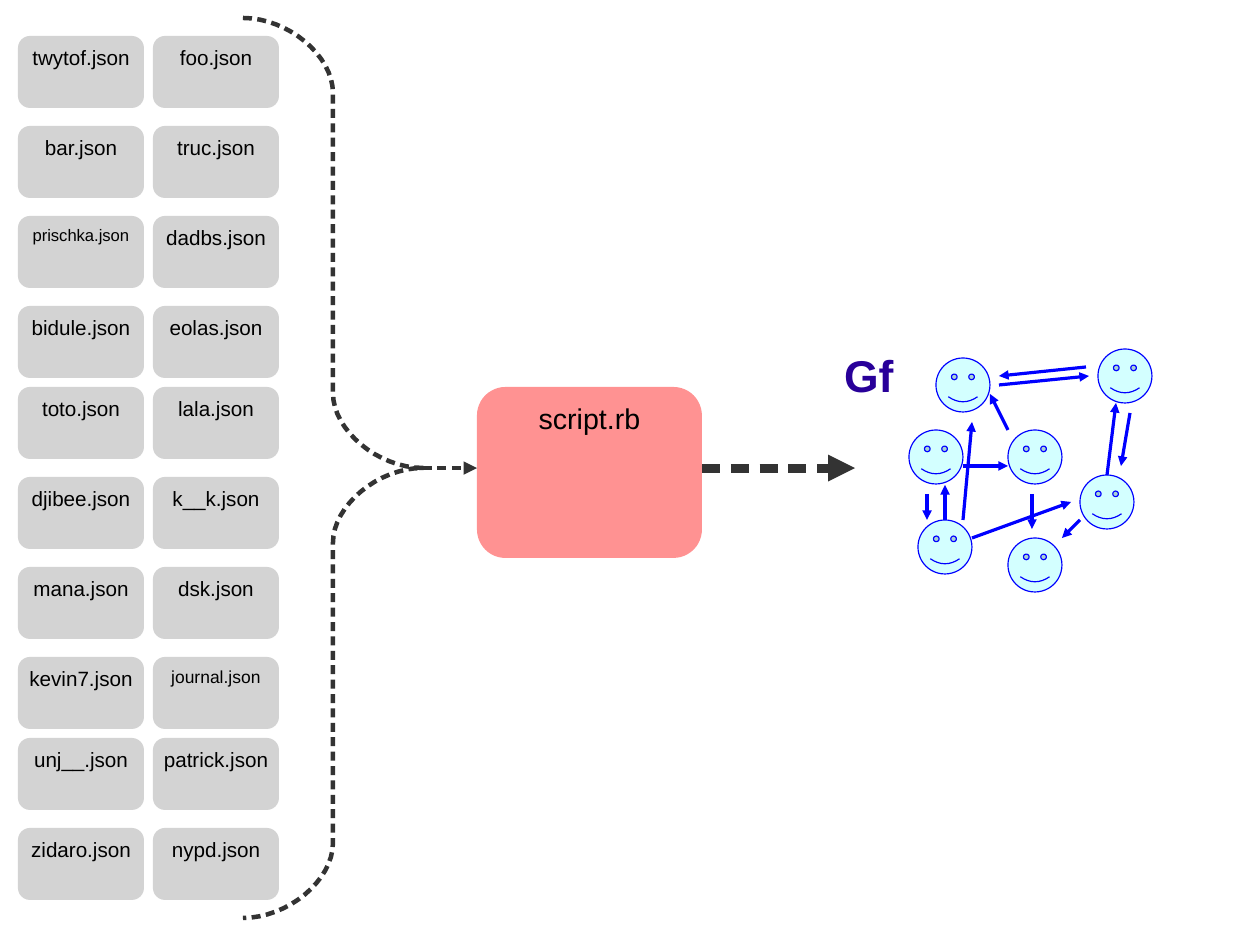
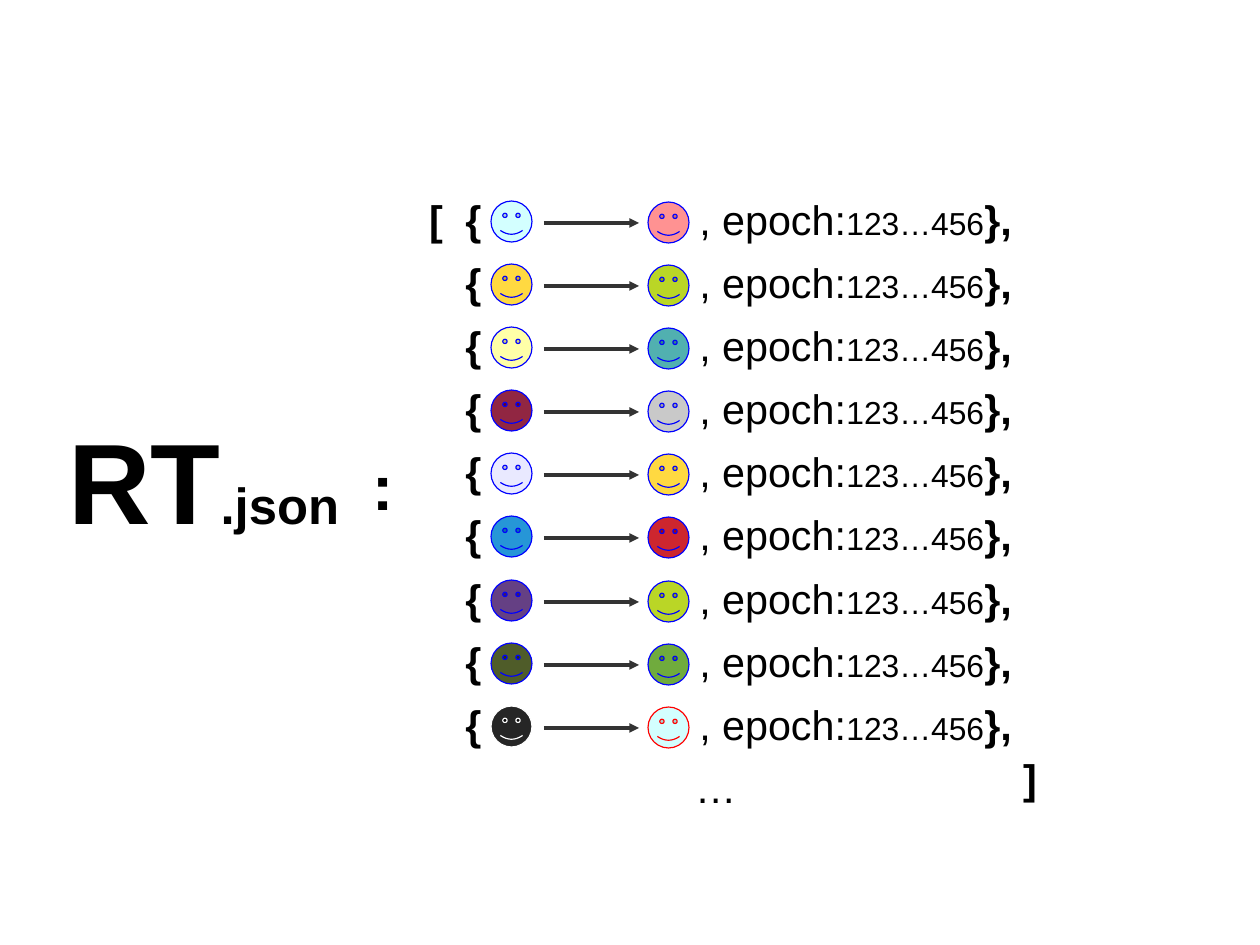
from pptx import Presentation
from pptx.dml.color import RGBColor
from pptx.enum.shapes import MSO_CONNECTOR, MSO_SHAPE
from pptx.enum.text import MSO_ANCHOR, PP_ALIGN
from pptx.oxml.ns import qn
from pptx.oxml.xmlchemy import OxmlElement
from pptx.util import Pt

STRAIGHT = MSO_CONNECTOR.STRAIGHT
ROUNDED = MSO_SHAPE.ROUNDED_RECTANGLE
SMILEY = MSO_SHAPE.SMILEY_FACE
TOP = MSO_ANCHOR.TOP
CENTER = PP_ALIGN.CENTER

PX = 8000  # EMU in one px
FONT = "Arial"
HAIRLINE, THIN, THICK = 0, 2.83, 5.67  # line widths in points

BLACK = RGBColor(0x00, 0x00, 0x00)
WHITE = RGBColor(0xFF, 0xFF, 0xFF)
DARK = RGBColor(0x33, 0x33, 0x33)
GREY = RGBColor(0xCC, 0xCC, 0xCC)
SILVER = RGBColor(0xC0, 0xC0, 0xC0)
BLUE = RGBColor(0x00, 0x00, 0xFF)
RED = RGBColor(0xFF, 0x00, 0x00)
INDIGO = RGBColor(0x28, 0x00, 0x99)
PINK = RGBColor(0xFF, 0x80, 0x80)
ICE = RGBColor(0xCC, 0xFF, 0xFF)
GOLD = RGBColor(0xFF, 0xD3, 0x20)
LIME = RGBColor(0xAE, 0xCF, 0x00)
CREAM = RGBColor(0xFF, 0xFF, 0x99)
TEAL = RGBColor(0x33, 0xA3, 0xA3)
MAROON = RGBColor(0x7E, 0x00, 0x21)
LAVENDER = RGBColor(0xE6, 0xE6, 0xFF)
SKY = RGBColor(0x00, 0x84, 0xD1)
CRIMSON = RGBColor(0xC5, 0x00, 0x0B)
PURPLE = RGBColor(0x4B, 0x1F, 0x6F)
OLIVE = RGBColor(0x31, 0x40, 0x04)
GREEN = RGBColor(0x57, 0x9D, 0x1C)

FILE_COLUMNS = [
    ["twytof", "bar", "prischka", "bidule", "toto",
     "djibee", "mana", "kevin7", "unj__", "zidaro"],
    ["foo", "truc", "dadbs", "eolas", "lala",
     "k__k", "dsk", "journal", "patrick", "nypd"],
]
SMALLER_FILES = {"prischka": 10.5, "journal": 11}

GRAPH_FACES = [(909, 430), (1008, 538), (1008, 430), (918, 520),
               (1080, 475), (936, 358), (1098, 349)]
GRAPH_ARROWS = [
    ((1032, 494), (1032, 529)), ((963, 466), (1008, 466)),
    ((1008, 430), (990, 394)), ((1107, 475), (1116, 403)),
    ((1080, 520), (1062, 538)), ((999, 385), (1089, 376)),
    ((945, 520), (945, 485)), ((927, 494), (927, 520)),
    ((963, 520), (972, 422)), ((972, 538), (1071, 502)),
    ((1130, 413), (1121, 466)), ((1086, 367), (999, 376)),
]

# Fill and outline of the two faces in each row
RETWEETS = [
    (ICE, BLUE, PINK, BLUE), (GOLD, BLUE, LIME, BLUE),
    (CREAM, BLUE, TEAL, BLUE), (MAROON, BLUE, SILVER, BLUE),
    (LAVENDER, BLUE, GOLD, BLUE), (SKY, BLUE, CRIMSON, BLUE),
    (PURPLE, BLUE, LIME, BLUE), (OLIVE, BLUE, GREEN, BLUE),
    (BLACK, WHITE, ICE, RED),
]


def emu(*lengths):
    return [round(length * PX) for length in lengths]


def add_child(parent, tag, **attributes):
    child = OxmlElement(tag)
    for name, value in attributes.items():
        child.set(name, str(value))
    parent.append(child)
    return child


def style_line(line, color, width, dashed=False, arrow=False):
    line.color.rgb = color
    line.width = Pt(width)
    properties = line._get_or_add_ln()
    if dashed:
        dash = add_child(properties, "a:custDash")
        add_child(dash, "a:ds", d=200000, sp=120000)
    if arrow:
        add_child(properties, "a:tailEnd", type="triangle")


def add_arrow(slide, start, end, color, width=HAIRLINE, dashed=False):
    connector = slide.shapes.add_connector(STRAIGHT, *emu(*start, *end))
    style_line(connector.line, color, width, dashed, arrow=True)
    add_child(connector._element.spPr, "a:effectLst")


def add_filled_shape(slide, kind, box, color):
    shape = slide.shapes.add_shape(kind, *emu(*box))
    shape.shadow.inherit = False
    shape.fill.solid()
    shape.fill.fore_color.rgb = color
    solid = shape._element.spPr.find(qn("a:solidFill"))
    add_child(solid[0], "a:alpha", val=85000)
    shape.line.fill.background()
    return shape


def add_face(slide, left, top, size, color, outline):
    face = add_filled_shape(slide, SMILEY, (left, top, size, size), color)
    style_line(face.line, outline, HAIRLINE)


def add_file(slide, box, name, size, color):
    shape = add_filled_shape(slide, ROUNDED, box, color)
    frame = shape.text_frame
    frame.word_wrap = False
    frame.vertical_anchor = TOP
    paragraph = frame.paragraphs[0]
    paragraph.text = name
    paragraph.alignment = CENTER
    paragraph.font.name = FONT
    paragraph.font.size = Pt(size)
    paragraph.font.color.rgb = BLACK


def add_text(slide, box, runs, color=BLACK, tab=None):
    """Each run is a (text, size, bold) tuple."""
    frame = slide.shapes.add_textbox(*emu(*box)).text_frame
    frame.word_wrap = True
    paragraph = frame.paragraphs[0]
    if tab is not None:
        stops = add_child(paragraph._p.get_or_add_pPr(), "a:tabLst")
        add_child(stops, "a:tab", pos=tab * PX, algn="l")
    paragraph.font.name = FONT
    paragraph.font.color.rgb = color
    for text, size, bold in runs:
        run = paragraph.add_run()
        run.text = text
        font = paragraph.font if len(runs) == 1 else run.font
        font.size = Pt(size)
        font.bold = bold


def curve(a, b, c, d, steps=16):
    """Points on a cubic curve from a to d."""
    points = []
    for step in range(steps + 1):
        t = step / steps
        weights = ((1 - t) ** 3, 3 * t * (1 - t) ** 2, 3 * t * t * (1 - t), t ** 3)
        points.append(tuple(sum(w * p[axis] for w, p in zip(weights, (a, b, c, d)))
                            for axis in (0, 1)))
    return points


def add_brace(slide, left, spine, tip, top, middle):
    """Dashed right brace, its lower half mirroring the upper one."""
    bend = 75
    half = bend / 2
    upper = curve((left, top), ((left + spine) / 2, top),
                  (spine, top + half), (spine, top + bend))
    upper += curve((spine, middle - bend), (spine, middle - half),
                   ((spine + tip) / 2, middle), (tip, middle))
    lower = [(x, 2 * middle - y) for x, y in reversed(upper[:-1])]
    points = [emu(*point) for point in upper + lower]
    builder = slide.shapes.build_freeform(*points[0], scale=1.0)
    builder.add_line_segments(points[1:], close=False)
    brace = builder.convert_to_shape()
    brace.shadow.inherit = False
    brace.fill.background()
    style_line(brace.line, DARK, THIN, dashed=True)


def build_pipeline_slide(slide):
    add_file(slide, (477, 387, 225, 171), "script.rb", 18, PINK)

    # Input files: rows close up by 9 px after every fourth
    for column, names in enumerate(FILE_COLUMNS):
        for row, name in enumerate(names):
            box = (18 + 135 * column, 36 + 90 * row - 9 * (row // 4), 126, 72)
            add_file(slide, box, name + ".json", SMALLER_FILES.get(name, 13), GREY)

    # Flow into and out of the script
    add_arrow(slide, (423, 468), (477, 468), DARK, THIN, dashed=True)
    add_brace(slide, left=243, spine=333, tip=423, top=18, middle=468)
    add_arrow(slide, (702, 468), (855, 468), DARK, THICK, dashed=True)

    # Resulting graph
    for left, top in GRAPH_FACES:
        add_face(slide, left, top, 54, ICE, BLUE)
    for start, end in GRAPH_ARROWS:
        add_arrow(slide, start, end, BLUE)
    add_text(slide, (833, 342, 80, 61), [("Gf", 28, True)], INDIGO)


def build_retweet_slide(slide):
    add_text(slide, (57, 405, 320, 139), [("RT", 72, True), (".json", 32, True)])
    add_text(slide, (361, 441, 46, 82), [(":", 40, True)])
    add_text(slide, (418, 189, 34, 63), [("[", 26, True)])

    # One record per row, the last three set 1 px lower
    record = [("{", 26, True), ("\t, epoch:", 26, False),
              ("123…456", 20, False), ("},", 26, True)]
    for row, (source, source_line, target, target_line) in enumerate(RETWEETS):
        top = 189 + 63 * row + row // 6
        add_text(slide, (454, top, 573, 63), record, tab=234)
        add_face(slide, 491, top + 12, 41, source, source_line)
        add_arrow(slide, (544, top + 34), (639, top + 34), DARK)
        add_face(slide, 648, top + 13, 41, target, target_line)

    add_text(slide, (684, 757, 81, 63), [("…", 26, False)])
    add_text(slide, (1012, 748, 34, 71), [("]", 26, True)])


def main():
    presentation = Presentation()
    presentation.slide_width, presentation.slide_height = emu(1260, 945)
    blank = presentation.slide_layouts[6]
    for build in (build_pipeline_slide, build_retweet_slide):
        build(presentation.slides.add_slide(blank))
    presentation.save("out.pptx")


if __name__ == "__main__":
    main()
